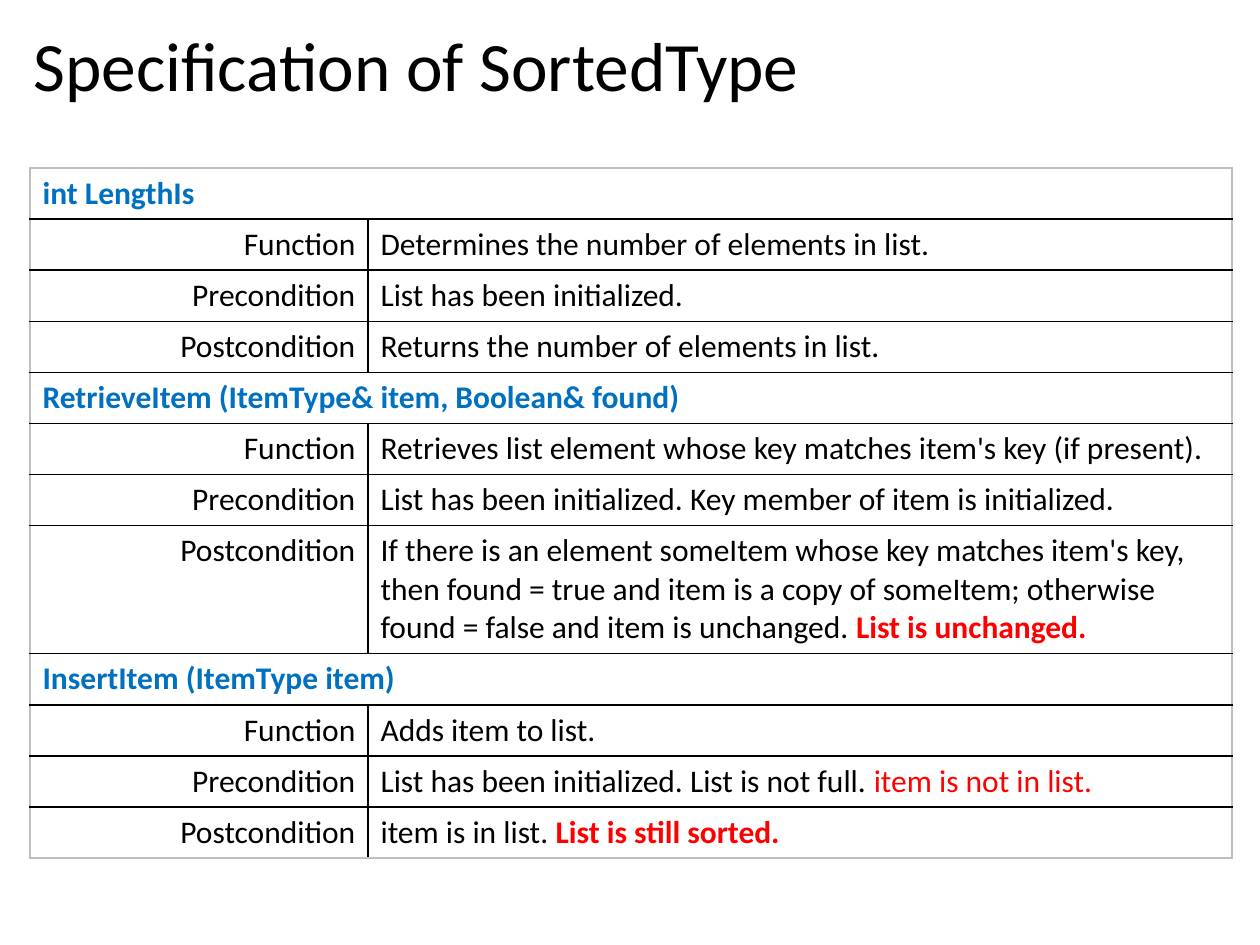
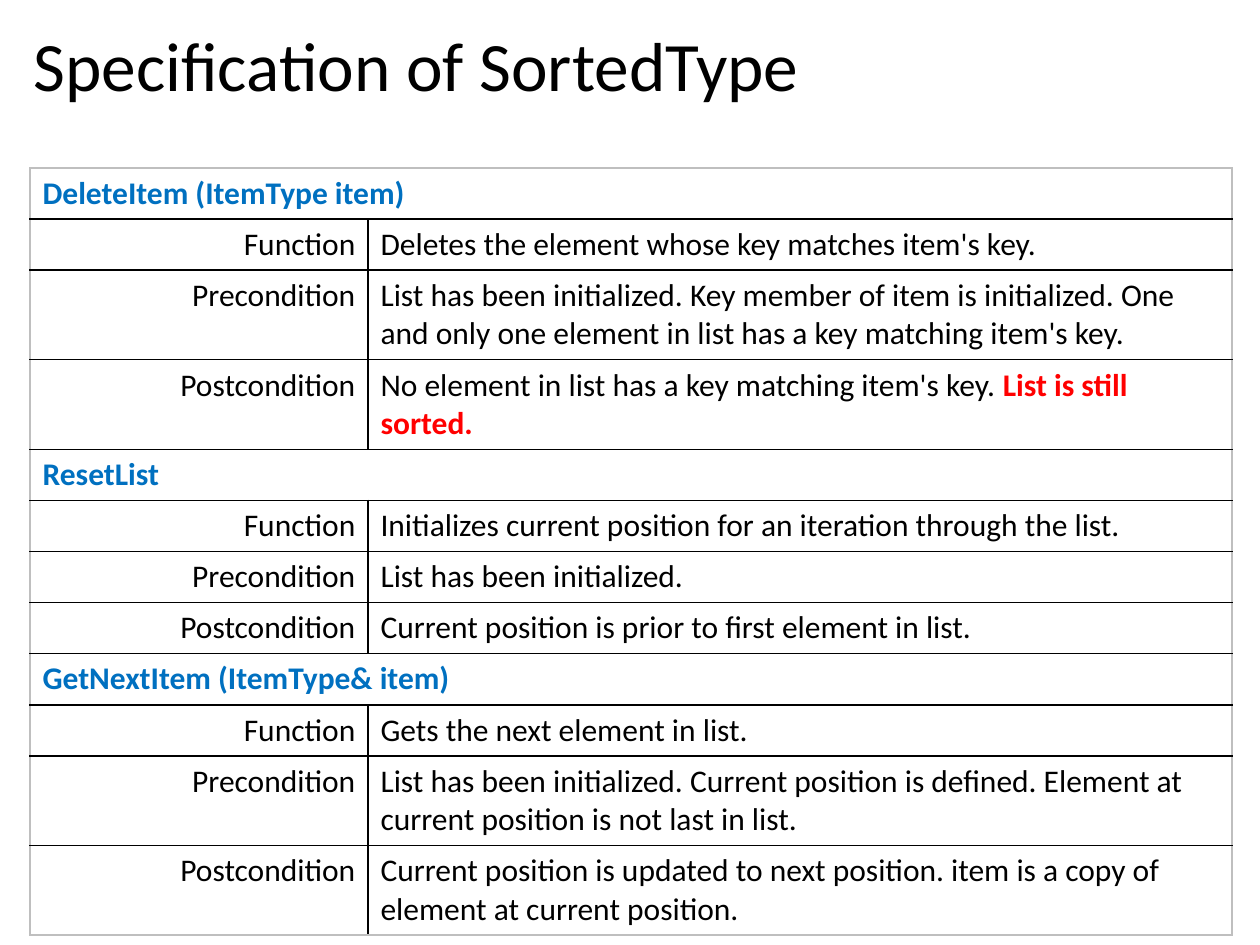
from dataclasses import dataclass

from lxml import etree
from pptx import Presentation
from pptx.dml.color import RGBColor
from pptx.enum.text import MSO_ANCHOR, MSO_AUTO_SIZE, PP_ALIGN
from pptx.oxml.ns import qn
from pptx.util import Pt

LEFT, RIGHT = PP_ALIGN.LEFT, PP_ALIGN.RIGHT
MIDDLE = MSO_ANCHOR.MIDDLE
NO_AUTOFIT = MSO_AUTO_SIZE.NONE
TITLE_ONLY = 5
EMU_PER_PX = 914400 / 126


@dataclass(frozen=True)
class Theme:
    font: str = "Calibri"
    title_size: float = 39.6
    body_size: float = 18
    title_spacing: float = 0.9
    border_width: float = 1
    ink: str = "000000"
    signature: str = "0070C0"
    alert: str = "FF0000"
    frame: str = "BFBFBF"


@dataclass(frozen=True)
class Box:
    left: int
    top: int
    width: int
    height: int

    def emu(self):
        return [px(side) for side in (self.left, self.top, self.width, self.height)]


@dataclass(frozen=True)
class Alert:
    """Closing words of a condition, shown in the alert colour."""
    text: str
    bold: bool = True


@dataclass(frozen=True)
class Operation:
    signature: str
    function: str
    precondition: str
    postcondition: str
    precondition_alert: Alert | None = None
    postcondition_alert: Alert | None = None

    def rows(self):
        return [
            ("Function", self.function, None),
            ("Precondition", self.precondition, self.precondition_alert),
            ("Postcondition", self.postcondition, self.postcondition_alert),
        ]


THEME = Theme()
TITLE = "Specification of SortedType"
TITLE_BOX = Box(21, 23, 1212, 93)
LABEL_WIDTH = 338
ROW_HEIGHT = 51
ROWS_PER_OPERATION = 4

ACCESS_AND_INSERT = [
    Operation(
        "int LengthIs",
        "Determines the number of elements in list.",
        "List has been initialized.",
        "Returns the number of elements in list.",
    ),
    Operation(
        "RetrieveItem (ItemType& item, Boolean& found)",
        "Retrieves list element whose key matches item's key (if present).",
        "List has been initialized. Key member of item is initialized.",
        "If there is an element someItem whose key matches item's key, then found = true "
        "and item is a copy of someItem; otherwise found = false and item is unchanged. ",
        postcondition_alert=Alert("List is unchanged."),
    ),
    Operation(
        "InsertItem (ItemType item)",
        "Adds item to list.",
        "List has been initialized. List is not full. ",
        "item is in list. ",
        precondition_alert=Alert("item is not in list.", bold=False),
        postcondition_alert=Alert("List is still sorted."),
    ),
]
DELETE_AND_ITERATE = [
    Operation(
        "DeleteItem (ItemType item)",
        "Deletes the element whose key matches item's key.",
        "List has been initialized. Key member of item is initialized. "
        "One and only one element in list has a key matching item's key.",
        "No element in list has a key matching item's key. ",
        postcondition_alert=Alert("List is still sorted."),
    ),
    Operation(
        "ResetList",
        "Initializes current position for an iteration through the list.",
        "List has been initialized.",
        "Current position is prior to first element in list.",
    ),
    Operation(
        "GetNextItem (ItemType& item)",
        "Gets the next element in list.",
        "List has been initialized. Current position is defined. "
        "Element at current position is not last in list.",
        "Current position is updated to next position. "
        "item is a copy of element at current position.",
    ),
]


def px(length):
    return round(length * EMU_PER_PX)


def style_font(font, size, color, bold=False):
    font.name = THEME.font
    font.size = Pt(size)
    font.bold = bold
    font.color.rgb = RGBColor.from_string(color)


def place_title(page, box):
    title = page.shapes.title
    title.left, title.top, title.width, title.height = box.emu()
    frame = title.text_frame
    frame.text = TITLE
    frame.auto_size = NO_AUTOFIT
    frame.vertical_anchor = MIDDLE
    para = frame.paragraphs[0]
    para.alignment = LEFT
    para.line_spacing = THEME.title_spacing
    style_font(para.font, THEME.title_size, THEME.ink)


def write_cell(cell, text, color=THEME.ink, bold=False, align=LEFT, alert=None):
    para = cell.text_frame.paragraphs[0]
    para.alignment = align
    style_font(para.font, THEME.body_size, color, bold)
    spans = [(text, color, bold)]
    if alert:
        spans.append((alert.text, THEME.alert, alert.bold))
    for words, span_color, span_bold in spans:
        span = para.add_run()
        span.text = words
        style_font(span.font, THEME.body_size, span_color, span_bold)


def draw_borders(cell, outer_edges):
    """Outer edges, a set of letters from LRTB, take the frame colour."""
    cell.fill.background()
    properties = cell._tc.get_or_add_tcPr()
    for position, edge in enumerate("LRTB"):
        line = etree.Element(qn(f"a:ln{edge}"), w=str(Pt(THEME.border_width)))
        fill = etree.SubElement(line, qn("a:solidFill"))
        color = THEME.frame if edge in outer_edges else THEME.ink
        etree.SubElement(fill, qn("a:srgbClr"), val=color)
        properties.insert(position, line)


def outer_edges_of(row, column, row_count):
    edges = set()
    if row % ROWS_PER_OPERATION == 0:
        edges.update("LR")
    else:
        edges.add("LR"[column])
    if row == 0:
        edges.add("T")
    if row == row_count - 1:
        edges.add("B")
    return edges


def add_specification(page, box, operations):
    row_count = len(operations) * ROWS_PER_OPERATION
    holder = page.shapes.add_table(row_count, 2, *box.emu())
    table = holder.table
    table.first_row = table.horz_banding = False
    table.columns[0].width = px(LABEL_WIDTH)
    table.columns[1].width = px(box.width - LABEL_WIDTH)
    for row in table.rows:
        row.height = px(ROW_HEIGHT)
    holder.height = px(box.height)

    for index, operation in enumerate(operations):
        top = index * ROWS_PER_OPERATION
        heading = table.cell(top, 0)
        heading.merge(table.cell(top, 1))
        write_cell(heading, operation.signature, THEME.signature, bold=True)
        for row, (label, text, alert) in enumerate(operation.rows(), top + 1):
            write_cell(table.cell(row, 0), label, align=RIGHT)
            write_cell(table.cell(row, 1), text, alert=alert)

    for row in range(row_count):
        for column in range(2):
            draw_borders(table.cell(row, column), outer_edges_of(row, column, row_count))


def add_specification_slide(deck, operations, table_height):
    page = deck.slides.add_slide(deck.slide_layouts[TITLE_ONLY])
    place_title(page, TITLE_BOX)
    add_specification(page, Box(30, 168, 1202, table_height), operations)


def main():
    deck = Presentation()
    deck.slide_width, deck.slide_height = px(1260), px(945)
    add_specification_slide(deck, ACCESS_AND_INSERT, 688)
    add_specification_slide(deck, DELETE_AND_ITERATE, 761)
    deck.save("out.pptx")


if __name__ == "__main__":
    main()
